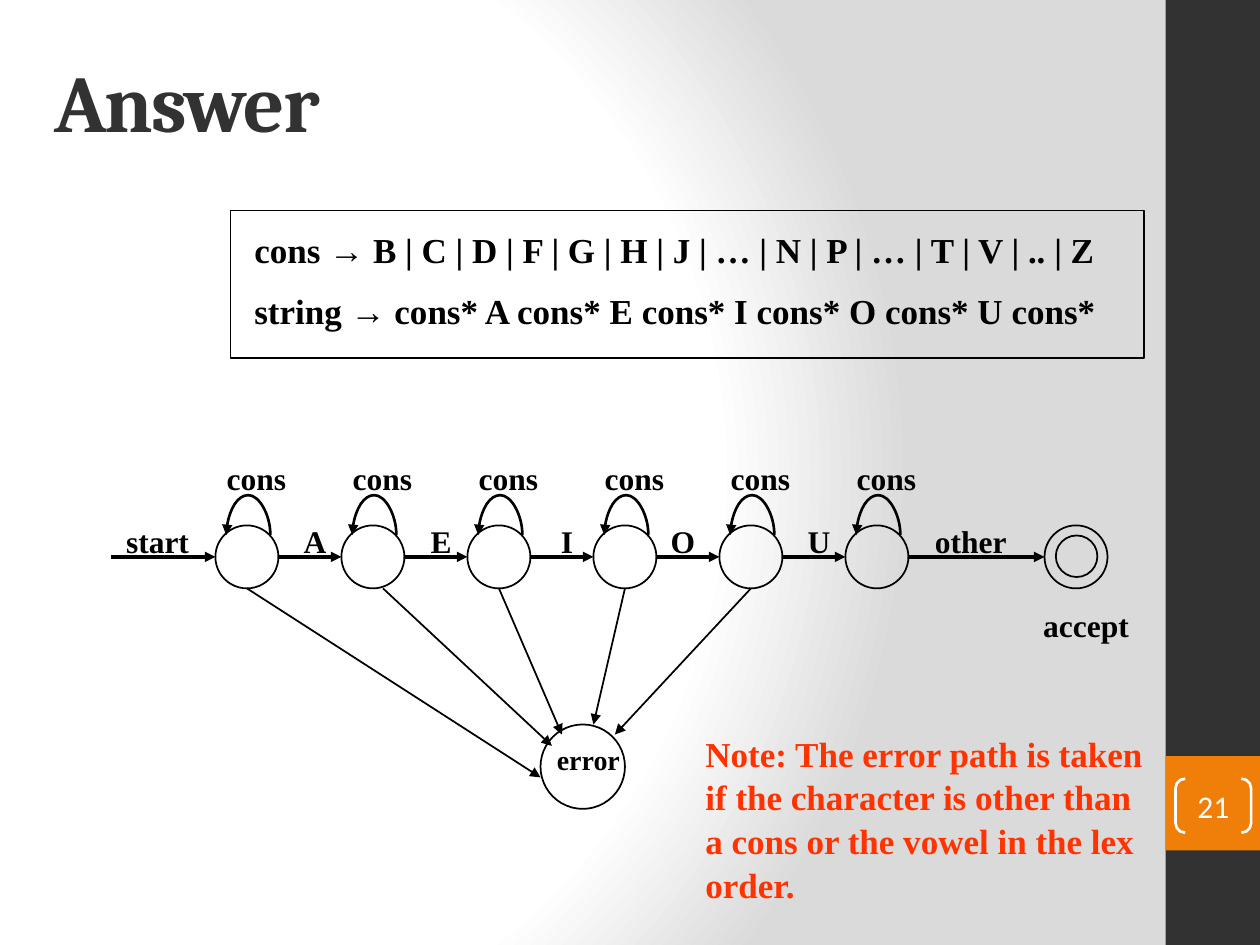
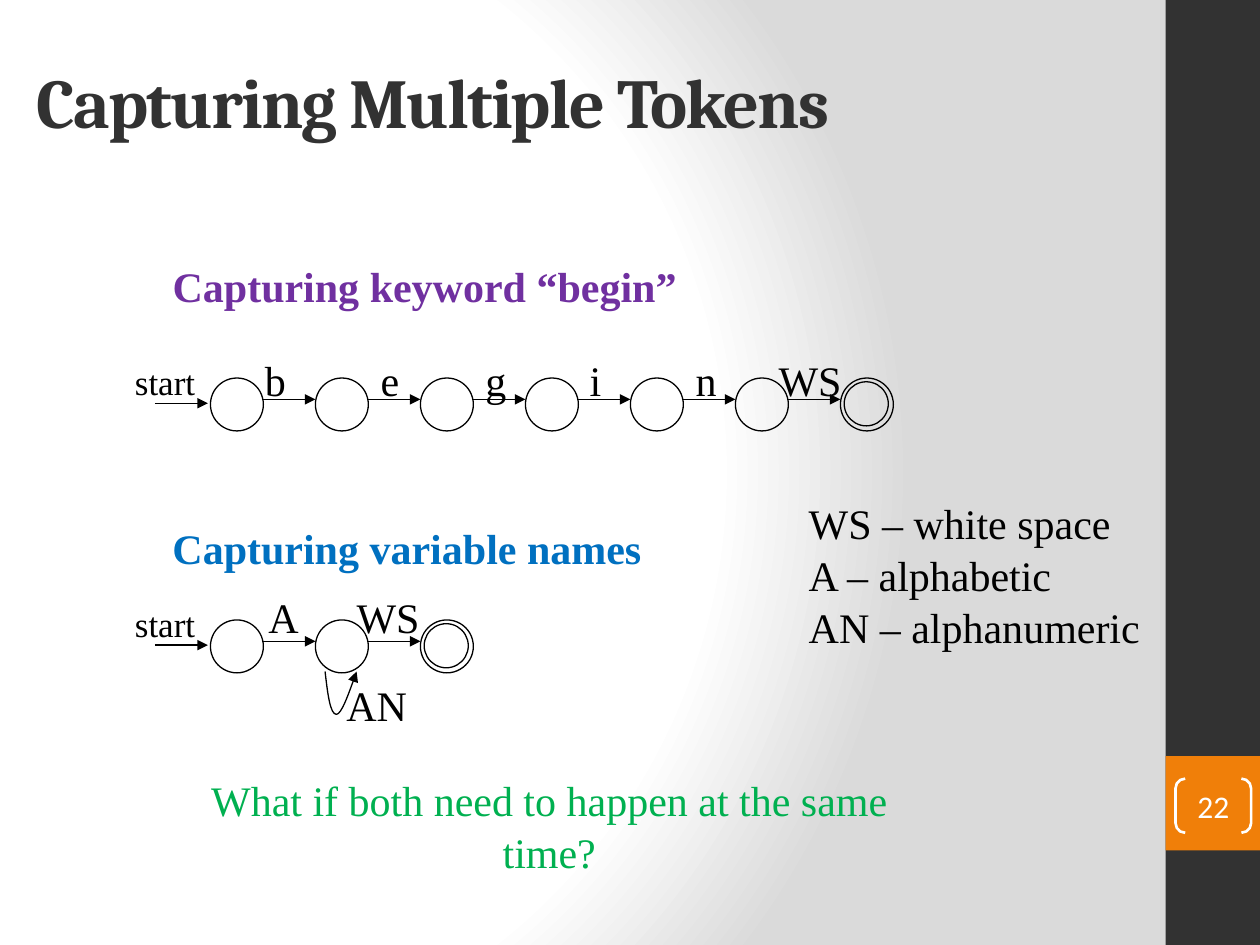
from lxml import etree
from pptx import Presentation
from pptx.dml.color import RGBColor
from pptx.enum.shapes import MSO_CONNECTOR, MSO_SHAPE
from pptx.enum.text import MSO_ANCHOR, PP_ALIGN
from pptx.oxml import parse_xml
from pptx.oxml.ns import nsdecls, qn
from pptx.util import Inches, Pt

BLACK = RGBColor(0, 0, 0)
WHITE = RGBColor(255, 255, 255)
CHARCOAL = RGBColor(0x32, 0x32, 0x32)
ORANGE = RGBColor(0xF0, 0x7F, 0x09)
RED = RGBColor(0xFF, 0x33, 0x00)
PURPLE = RGBColor(0x70, 0x30, 0xA0)
BLUE = RGBColor(0x00, 0x70, 0xC0)
GREEN = RGBColor(0x00, 0xB0, 0x50)

BODY_FONT = "Times New Roman"
TITLE_FONT = "Cambria"
NUMBER_FONT = "Calibri"
FIRST_NUMBER = 21
BACKGROUND_STOPS = [(0, "FFFFFF"), (75, "FFFFFF"), (100, "DADADA")]

GRAMMAR = [
    "cons → B | C | D | F | G | H | J | … | N | P | … | T | V | .. | Z",
    "string → cons* A cons* E cons* I cons* O cons* U cons*",
]
NOTE = ("Note: The error path is taken if the character is other than "
        "a cons or the vowel in the lex order.")
STATE_LEFTS = [1.71 + step for step in range(6)]
ACCEPT_LEFT = 8.29
VOWELS = [("A", 2.29), ("E", 3.29), ("I", 4.29), ("O", 5.21), ("U", 6.29)]
ERROR_EDGES = [
    ((1.96, 4.67), (4.29, 6.17)),
    ((3.04, 4.67), (4.38, 5.92)),
    ((3.96, 4.67), (4.46, 5.83)),
    ((4.96, 4.67), (4.71, 5.75)),
    ((5.96, 4.67), (4.88, 5.83)),
]

HEADINGS = [
    ("Capturing keyword “begin”", 2, 4.24, PURPLE),
    ("Capturing variable names", 4.08, 3.96, BLUE),
]
QUESTION = "What if both need to happen at the same time?"
LEGEND = ["WS – white space", "A – alphabetic", "AN – alphanumeric"]
KEYWORD_LABELS = [
    ("b", 2, 0.37), ("e", 2.92, 0.35), ("g", 3.75, 0.37),
    ("i", 4.58, 0.29), ("n", 5.42, 0.37), ("WS", 6.08, 0.7),
]
VARIABLE_LABELS = [("A", 2.03, 0.44), ("WS", 2.73, 0.7)]
AUTOMATA = [(3, 2.75, KEYWORD_LABELS), (4.92, 4.63, VARIABLE_LABELS)]
FIRST_STATE = 1.67
STATE_STEP = 5 / 6
STATE_SIZE = 0.42
LOOP_POINTS = [(2.58, 5.33), (2.6, 5.5), (2.62, 5.67), (2.67, 5.67),
               (2.71, 5.67), (2.81, 5.39), (2.83, 5.33)]


def style_run(font, size, color, bold=False, name=BODY_FONT):
    font.name = name
    font.size = Pt(size)
    font.bold = bold
    font.color.rgb = color


def add_text(page, lines, left, top, width, height, size=18, color=BLACK, bold=False,
             align=PP_ALIGN.CENTER, wrap=True, gap=0):
    box = page.shapes.add_textbox(Inches(left), Inches(top), Inches(width), Inches(height))
    frame = box.text_frame
    frame.word_wrap = wrap
    frame.text = "\n".join(lines)
    for index, para in enumerate(frame.paragraphs):
        para.alignment = align
        para.line_spacing = 1.04
        para.space_before = Pt(gap if index else 0)
        for span in para.runs:
            style_run(span.font, size, color, bold)


def add_outline(page, kind, left, top, width, height, weight=1.0, color=BLACK):
    shape = page.shapes.add_shape(kind, Inches(left), Inches(top), Inches(width), Inches(height))
    shape.shadow.inherit = False
    shape.fill.background()
    shape.line.color.rgb = color
    shape.line.width = Pt(weight)
    return shape


def add_circle(page, left, top, size, weight=1.0):
    add_outline(page, MSO_SHAPE.OVAL, left, top, size, size, weight)


def style_arrow(line, weight):
    line.color.rgb = BLACK
    line.width = Pt(weight)
    etree.SubElement(line._get_or_add_ln(), qn("a:tailEnd"), type="triangle")


def add_arrow(page, start, end, weight, kind=MSO_CONNECTOR.STRAIGHT):
    arrow = page.shapes.add_connector(kind, *(Inches(value) for value in (*start, *end)))
    style_arrow(arrow.line, weight)
    etree.SubElement(arrow._element.spPr, qn("a:effectLst"))
    return arrow


def add_state_loop(page, state_left):
    middle, thickness, rise = state_left + 0.26, 0.002, 0.32
    loop = add_arrow(page, (middle, 4.07), (middle + thickness, 4.42), 1.5, MSO_CONNECTOR.CURVE)
    properties = loop._element.spPr
    frame = properties.find(qn("a:xfrm"))
    for name, value in (("rot", "16200000"), ("flipH", "1"), ("flipV", "1")):
        frame.set(name, value)
    adjustments = properties.find(qn("a:prstGeom")).find(qn("a:avLst"))
    bend = round(-rise / thickness * 100000)
    etree.SubElement(adjustments, qn("a:gd"), name="adj1", fmla=f"val {bend}")


def add_curve(page, points, weight):
    corners = [(Inches(x), Inches(y)) for x, y in points]
    builder = page.shapes.build_freeform(*corners[0])
    builder.add_line_segments(corners[1:], close=False)
    curve = builder.convert_to_shape()
    curve.shadow.inherit = False
    curve.fill.background()
    style_arrow(curve.line, weight)
    segments = list(curve._element.iter(qn("a:lnTo")))
    for first in range(0, len(segments), 3):
        trio = segments[first:first + 3]
        bezier = etree.Element(qn("a:cubicBezTo"))
        trio[0].addprevious(bezier)
        for segment in trio:
            bezier.append(segment[0])
            segment.getparent().remove(segment)


def set_background(master):
    master.background.fill.solid()
    solid = next(master.element.iter(qn("p:bgPr"))).find(qn("a:solidFill"))
    stops = "".join(f'<a:gs pos="{place * 1000}"><a:srgbClr val="{color}"/></a:gs>'
                    for place, color in BACKGROUND_STOPS)
    gradient = parse_xml(
        f'<a:gradFill {nsdecls("a")} rotWithShape="1"><a:gsLst>{stops}</a:gsLst>'
        '<a:path path="circle"><a:fillToRect l="20000" t="50000" r="100000" b="50000"/></a:path>'
        '</a:gradFill>')
    solid.getparent().replace(solid, gradient)


def add_layout_bands(page):
    title = page.slide_layout.placeholders[0]
    for top, height, color in ((0, 7.5, CHARCOAL), (6, 0.75, ORANGE)):
        band = page.shapes.add_shape(
            MSO_SHAPE.RECTANGLE, Inches(9.25), Inches(top), Inches(0.75), Inches(height))
        band.shadow.inherit = False
        band.fill.solid()
        band.fill.fore_color.rgb = color
        band.line.fill.background()
        title._element.addprevious(band._element)


def add_title(page, text, left, size):
    title = page.shapes.title
    title.left, title.top = Inches(left), Inches(0.17)
    title.width, title.height = Inches(8.33), Inches(1.25)
    frame = title.text_frame
    frame.text = text
    frame.vertical_anchor = MSO_ANCHOR.MIDDLE
    para = frame.paragraphs[0]
    para.alignment = PP_ALIGN.LEFT
    span = para.runs[0]
    style_run(span.font, size, CHARCOAL, True, TITLE_FONT)
    span.font._element.set("spc", "-100")


def add_number(page, number):
    bracket = add_outline(page, MSO_SHAPE.DOUBLE_BRACKET, 9.33, 6.18, 0.6, 0.43, 1.5, WHITE)
    bracket.adjustments[0] = 0.179
    frame = bracket.text_frame
    frame.margin_left = frame.margin_right = frame.margin_top = frame.margin_bottom = 0
    frame.vertical_anchor = MSO_ANCHOR.MIDDLE
    frame.text = str(number)
    para = frame.paragraphs[0]
    para.alignment = PP_ALIGN.CENTER
    style_run(para.runs[0].font, 18, WHITE, name=NUMBER_FONT)


def draw_answer(page):
    add_title(page, "Answer", 0.33, 46)
    add_text(page, GRAMMAR, 1.92, 1.75, 7.08, 0.93, 20, bold=True, align=PP_ALIGN.LEFT, gap=10)
    add_outline(page, MSO_SHAPE.RECTANGLE, 1.83, 1.67, 7.25, 1.17)

    add_arrow(page, (0.88, 4.42), (STATE_LEFTS[0], 4.42), 2)
    for left, target in zip(STATE_LEFTS, STATE_LEFTS[1:] + [ACCEPT_LEFT]):
        add_circle(page, left, 4.17, 0.5)
        add_arrow(page, (left + 0.5, 4.42), (target, 4.42), 2)
        add_state_loop(page, left)
        add_text(page, ["cons"], left - 0.09, 3.58, 0.83, 0.4, bold=True)
    add_circle(page, ACCEPT_LEFT, 4.17, 0.5)
    add_circle(page, ACCEPT_LEFT + 0.09, 4.25, 0.33)

    for vowel, left in VOWELS:
        add_text(page, [vowel], left, 4.08, 0.42, 0.4, bold=True)
    for word, left, top, width in (("start", 0.79, 4.08, 0.92), ("other", 7.29, 4.08, 0.83),
                                   ("accept", 8.12, 4.75, 1)):
        add_text(page, [word], left, top, width, 0.4, bold=True)

    add_circle(page, 4.29, 5.75, 0.67)
    add_text(page, ["error"], 4.21, 5.83, 0.92, 0.37, 16, bold=True)
    for start, end in ERROR_EDGES:
        add_arrow(page, start, end, 1)
    add_text(page, [NOTE], 5.5, 5.75, 3.75, 1.43, 20, RED, True, PP_ALIGN.LEFT)


def draw_automaton(page, top, label_top, labels):
    lefts = [FIRST_STATE + STATE_STEP * step for step in range(len(labels) + 1)]
    for left in lefts:
        add_circle(page, left, top, STATE_SIZE, 0.75)
    add_circle(page, lefts[-1] + 0.03, top + 0.03, 0.35, 0.75)
    for left, target in zip(lefts, lefts[1:]):
        add_arrow(page, (left + STATE_SIZE, top + 0.17), (target, top + 0.17), 0.75)
    for text, left, width in labels:
        add_text(page, [text], left, label_top, width, 0.5, 24, wrap=False)
    add_arrow(page, (1.23, top + 0.2), (1.65, top + 0.2), 0.75)
    add_text(page, ["start"], 0.97, top - 0.2, 0.68, 0.43, 20, wrap=False)


def draw_tokens(page):
    add_title(page, "Capturing Multiple Tokens", 0.19, 40)
    for text, top, width, color in HEADINGS:
        add_text(page, [text], 1.25, top, width, 0.5, 24, color, True, wrap=False)
    for top, label_top, labels in AUTOMATA:
        draw_automaton(page, top, label_top, labels)
    add_curve(page, LOOP_POINTS, 0.75)
    add_text(page, ["AN"], 2.65, 5.33, 0.68, 0.5, 24, wrap=False)
    add_text(page, LEGEND, 6.32, 3.88, 2.83, 1.7, 24, align=PP_ALIGN.LEFT, wrap=False)
    add_text(page, [QUESTION], 1.17, 6.08, 6.38, 0.5, 24, GREEN)


def main():
    deck = Presentation()
    deck.slide_width, deck.slide_height = Inches(10), Inches(7.5)
    set_background(deck.slide_master)
    title_only = deck.slide_layouts[5]
    for index, draw in enumerate((draw_answer, draw_tokens)):
        page = deck.slides.add_slide(title_only)
        if index == 0:
            add_layout_bands(page)
        draw(page)
        add_number(page, FIRST_NUMBER + index)
    deck.save("out.pptx")


if __name__ == "__main__":
    main()
